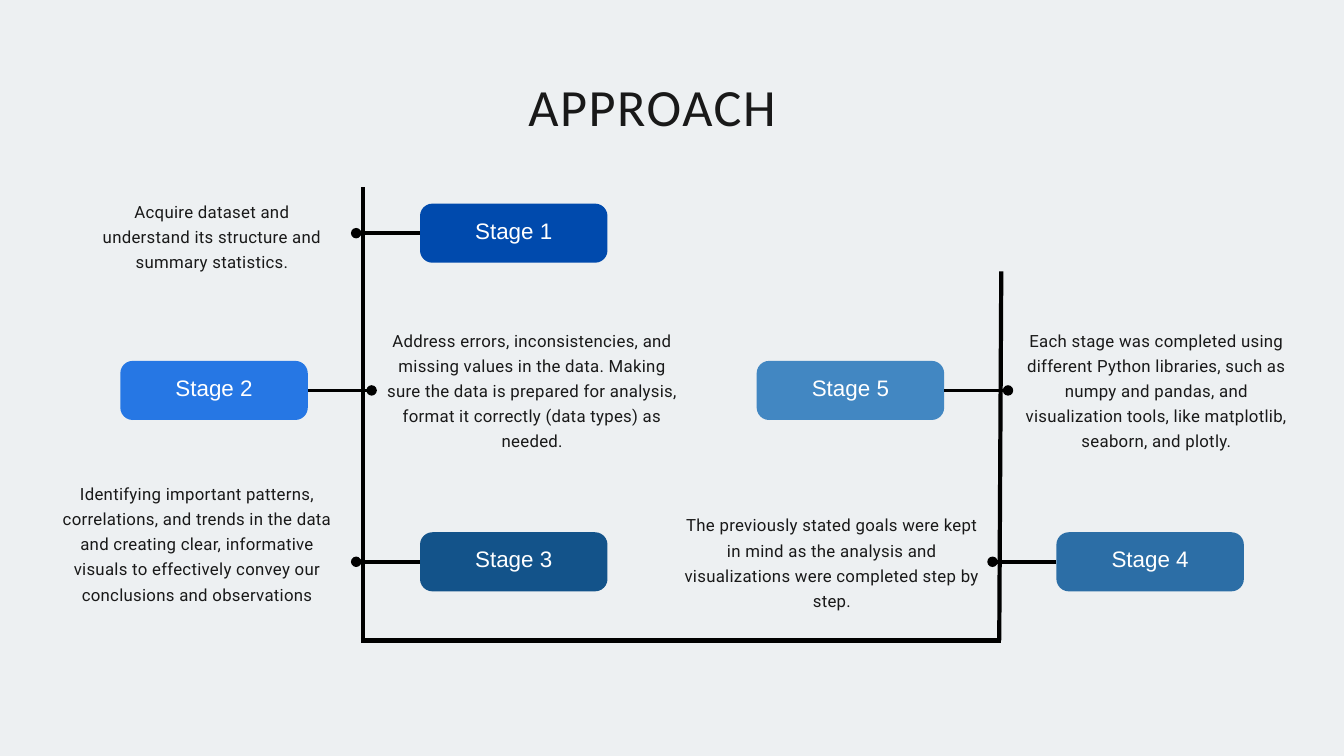
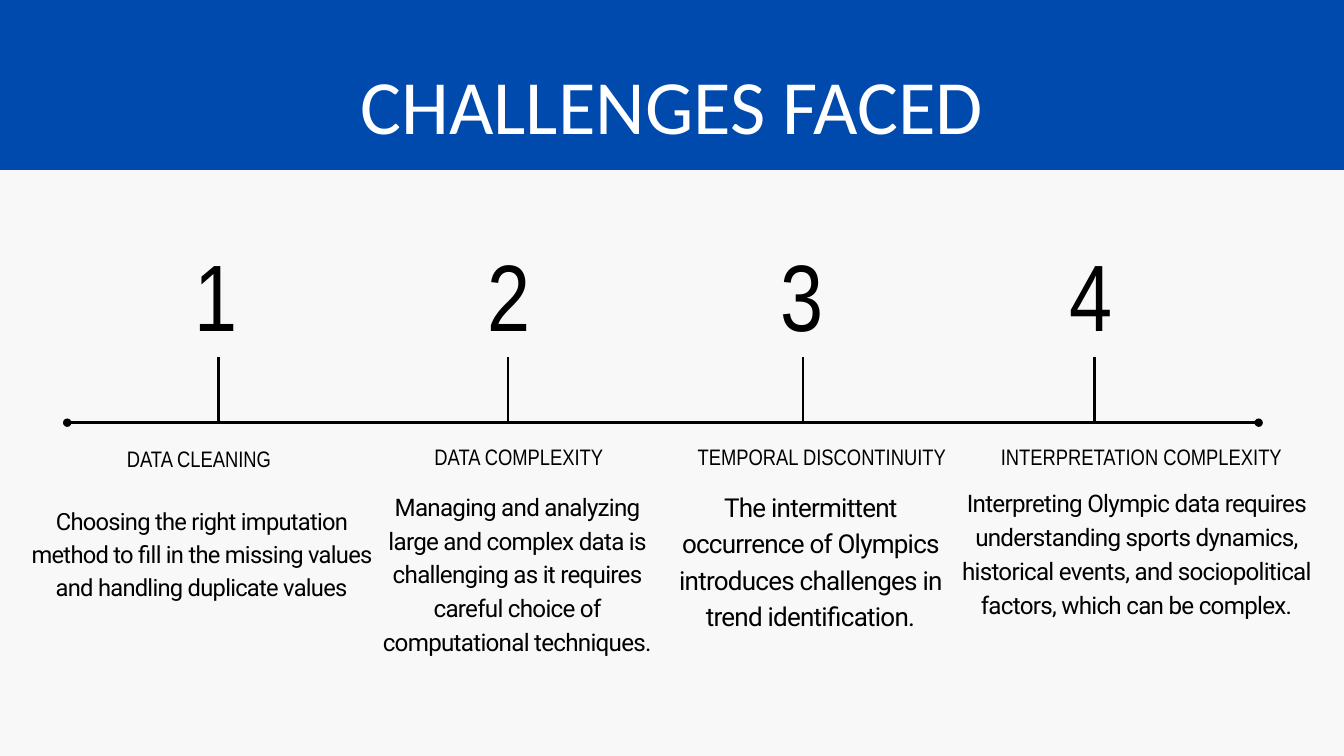
"""Build the approach and challenges slides."""
from collections import namedtuple

from lxml import etree
from pptx import Presentation
from pptx import util as u
from pptx.dml.color import RGBColor
from pptx.enum import shapes as es, text as et
from pptx.oxml import ns

Style = namedtuple("Style", "size font color lead gap", defaults=(0,))

THEME = {
    "pale": "EDF0F2", "white": "F8F8F8", "band": "004AAD", "line": "000000",
    "stages": ("004AAD", "2677E4", "13538A", "2C6EA6", "4287C2"),
    "thin": 3, "link": 3.75, "spine": 4.5,
    "head": Style(56, "Calibri", "191919", 1.2, 170),
    "banner": Style(82.2, "Calibri", "FFFFFF", 1.1),
    "note": Style(18, "Roboto", "191919", 1.5, 30),
    "stage": Style(24, "Arial", "FFFFFF", 1.3),
    "label": Style(24, "Arial Narrow", "000000", 1.1),
    "digit": Style(101.1, "Arial Narrow", "000000", 1.1),
    "body": Style(25.9, "Roboto", "000000", 1.4, -80),
}

COLS = (1.79, 6.25, 11.26, 15.72)
ROWS = (3.03, 5.37, 7.92)
CARD = (2.79, 0.88)
REACH = 0.95

# name, column, row, side of the link, note, note box
STAGES = [
    ("Stage 1", 1, 0, -1,
     "Acquire dataset and understand its structure and summary statistics.",
     (1.45, 2.92, 3.41, 1.11)),
    ("Stage 2", 0, 1, 1,
     "Address errors, inconsistencies, and missing values in the data. Making sure "
     "the data is prepared for analysis, format it correctly (data types) as needed.",
     (5.67, 4.84, 4.5, 1.86)),
    ("Stage 3", 1, 2, -1,
     "Identifying important patterns, correlations, and trends in the data and creating "
     "clear, informative visuals to effectively convey our conclusions and observations",
     (0.8, 7.12, 4.27, 2.24)),
    ("Stage 4", 3, 2, -1,
     "The previously stated goals were kept in mind as the analysis and visualizations "
     "were completed step by step.",
     (10.13, 7.59, 4.5, 1.49)),
    ("Stage 5", 2, 1, 1,
     "Each stage was completed using different Python libraries, such as numpy and "
     "pandas, and visualization tools, like matplotlib, seaborn, and plotly.",
     (15.21, 4.84, 4, 1.86)),
]
SPINES = [(5.4, 9.54, 5.4, 2.79), (5.37, 9.53, 14.9, 9.53), (14.87, 9.53, 14.9, 4.04)]

# label, label box, text, text box, text size, stem, digit left
ISSUES = [
    ("DATA CLEANING", (1, 6.66, 3.92, 0.38),
     "Choosing the right imputation method to fill in the missing values "
     "and handling duplicate values",
     (0.44, 7.47, 5.12, 1.94), 25.4, 3.25, 2.09),
    ("DATA COMPLEXITY", (5.76, 6.63, 3.92, 0.37),
     "Managing and analyzing large and complex data is challenging as it "
     "requires careful choice of computational techniques.",
     (5.57, 7.25, 4.25, 2.49), 25.9, 7.56, 6.44),
    ("TEMPORAL DISCONTINUITY", (10.27, 6.63, 3.92, 0.37),
     "The intermittent occurrence of Olympics introduces challenges in "
     "trend identification.",
     (9.85, 7.23, 4.42, 2.15), 27.9, 11.95, 10.8),
    ("INTERPRETATION COMPLEXITY", (14.45, 6.63, 5.07, 0.37),
     "Interpreting Olympic data requires understanding sports dynamics, historical "
     "events, and sociopolitical factors, which can be complex.",
     (14.3, 7.2, 5.22, 2.48), 25.9, 16.29, 15.11),
]


def inches(box):
    return [u.Inches(v) for v in box]


def rgb(tone):
    return RGBColor.from_string(tone)


def write(shape, words, style, anchor=et.MSO_ANCHOR.TOP, base=0):
    frame = shape.text_frame
    frame.word_wrap = True
    frame.auto_size = et.MSO_AUTO_SIZE.NONE
    frame.vertical_anchor = anchor
    frame.margin_left = frame.margin_right = frame.margin_top = 0
    frame.margin_bottom = u.Inches(base)
    para = frame.paragraphs[0]
    run = para.add_run()
    run.text = words
    if style.gap:
        run._r.get_or_add_rPr().set("spc", str(style.gap))
    para.alignment = et.PP_ALIGN.CENTER
    para.line_spacing = u.Pt(round(style.size * style.lead, 1))
    para.font.size = u.Pt(style.size)
    para.font.name = style.font
    para.font.color.rgb = rgb(style.color)


def label(slide, words, box, style):
    write(slide.shapes.add_textbox(*inches(box)), words, style)


def block(slide, kind, box, tone):
    shape = slide.shapes.add_shape(kind, *inches(box))
    shape.shadow.inherit = False
    shape.fill.solid()
    shape.fill.fore_color.rgb = rgb(tone)
    shape.line.fill.background()
    return shape


def line(slide, ends, width, dots=()):
    link = slide.shapes.add_connector(es.MSO_CONNECTOR.STRAIGHT, *inches(ends))
    link.line.color.rgb = rgb(THEME["line"])
    link.line.width = u.Pt(width)
    for dot in dots:
        etree.SubElement(link.line._get_or_add_ln(), ns.qn(f"a:{dot}"), type="oval")
    etree.SubElement(link._element.spPr, ns.qn("a:effectLst"))


def start(deck, tone):
    slide = deck.slides.add_slide(deck.slide_layouts[5])
    slide.background.fill.solid()
    slide.background.fill.fore_color.rgb = rgb(tone)
    return slide


def title(slide, words, box, style):
    shape = slide.shapes.title
    shape.left, shape.top, shape.width, shape.height = inches(box)
    write(shape, words, style)
    slide.shapes._spTree.append(shape._element)


def approach(deck):
    slide = start(deck, THEME["pale"])
    for ends in SPINES:
        line(slide, ends, THEME["spine"])
    wide, high = CARD
    for stage, tone in zip(STAGES, THEME["stages"]):
        name, col, row, side, note, box = stage
        x, y = COLS[col], ROWS[row]
        card = block(slide, es.MSO_SHAPE.ROUNDED_RECTANGLE, (x, y, wide, high), tone)
        card.adjustments[0] = 0.21
        write(card, name, THEME["stage"], et.MSO_ANCHOR.MIDDLE, 0.12)
        edge = x + wide if side > 0 else x
        mid = y + high / 2
        line(slide, (edge, mid, edge + side * REACH, mid), THEME["link"], ["tailEnd"])
        label(slide, note, box, THEME["note"])
    title(slide, "APPROACH", (6.25, 1.11, 6.91, 0.94), THEME["head"])


def issues(deck):
    slide = start(deck, THEME["white"])
    block(slide, es.MSO_SHAPE.RECTANGLE, (0, 0, 20, 2.53), THEME["band"])
    line(slide, (1, 6.29, 18.73, 6.29), THEME["thin"], ["headEnd", "tailEnd"])
    for num, issue in enumerate(ISSUES, 1):
        name, spot, words, box, size, stem, left = issue
        line(slide, (stem, 5.32, stem, 6.31), THEME["thin"])
        label(slide, str(num), (left, 3.67, 2.26, 1.58), THEME["digit"])
        label(slide, name, spot, THEME["label"])
        label(slide, words, box, THEME["body"]._replace(size=size))
    title(slide, "CHALLENGES FACED", (3.55, 0.98, 12.9, 1.27), THEME["banner"])


def main():
    deck = Presentation()
    deck.slide_width, deck.slide_height = inches((20, 11.25))
    approach(deck)
    issues(deck)
    deck.save("out.pptx")


if __name__ == "__main__":
    main()
